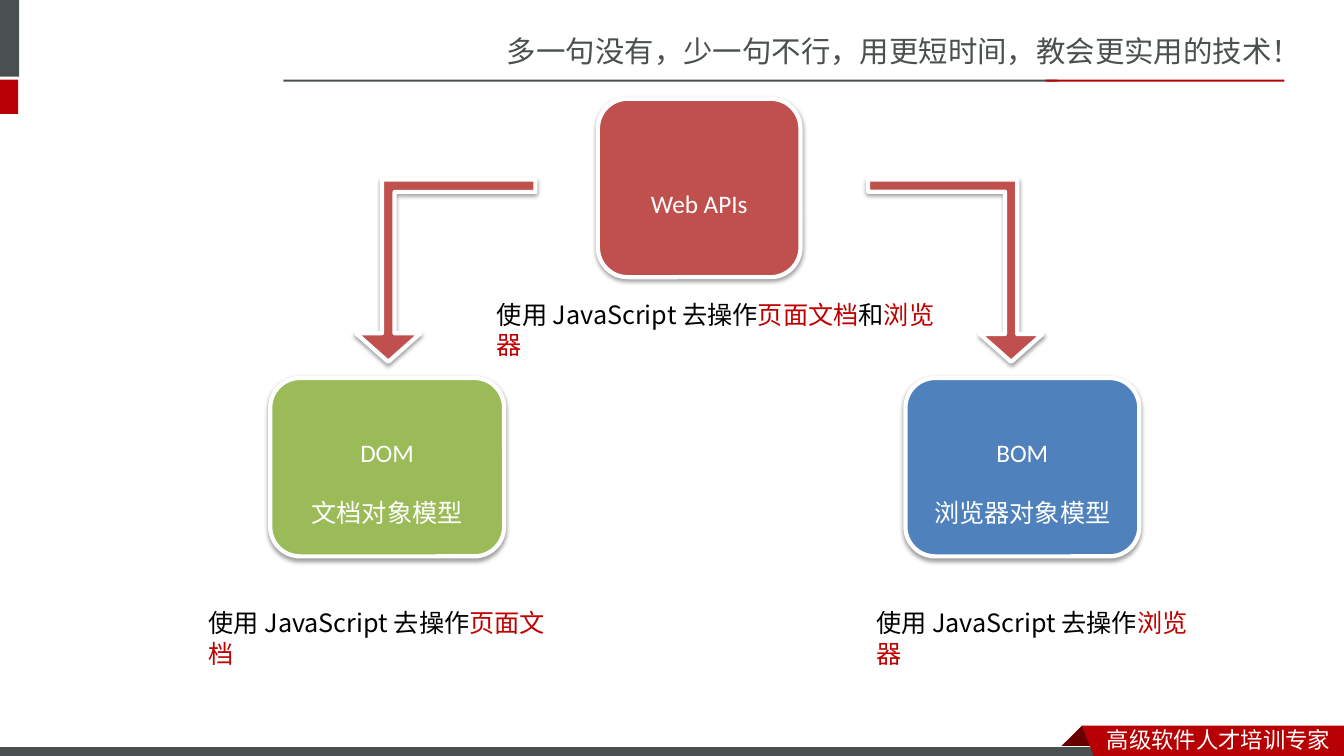
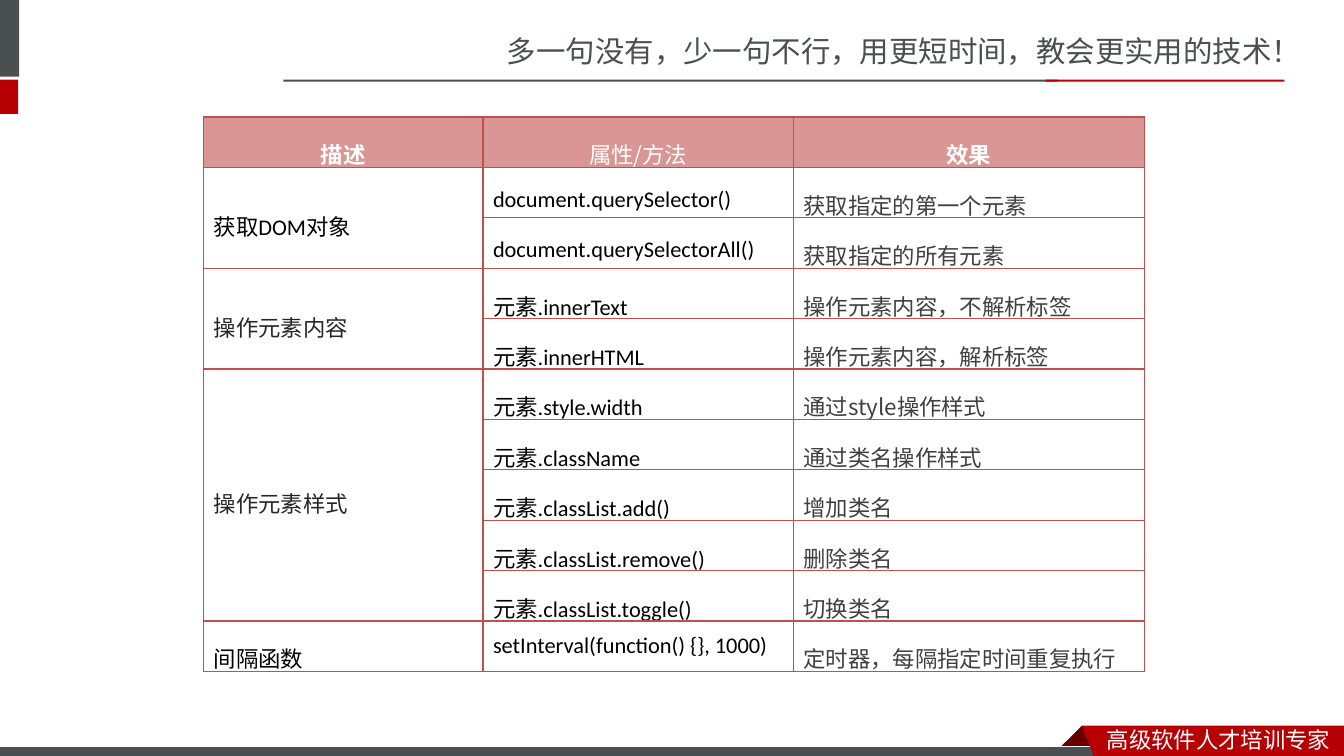
from lxml.etree import SubElement
from pptx import Presentation
from pptx.dml.color import RGBColor
from pptx.enum.shapes import MSO_SHAPE
from pptx.enum.text import MSO_ANCHOR, PP_ALIGN
from pptx.oxml.ns import qn
from pptx.util import Pt

PX = 9144  # 100 px to the inch
WIDE, HIGH = 1333, 750
SC, JP, LATIN = "Noto Sans CJK SC", "Noto Sans CJK JP", "Calibri"
COLORS = {
    "slate": "49504F", "brand": "B60004", "fold": "680000", "white": "FFFFFF",
    "black": "000000", "mark": "C00000", "red": "C0504D", "green": "9BBB59",
    "blue": "4F81BD", "head": "D99694", "gray": "404040", "dark": "262626",
}
TABLE = [
    ("获取DOM对象", LATIN, "black", [
        ("document.querySelector()", "获取指定的第一个元素"),
        ("document.querySelectorAll()", "获取指定的所有元素")]),
    ("操作元素内容", JP, "dark", [
        ("元素.innerText", "操作元素内容，不解析标签"),
        ("元素.innerHTML", "操作元素内容，解析标签")]),
    ("操作元素样式", JP, "dark", [
        ("元素.style.width", "通过style操作样式"),
        ("元素.className", "通过类名操作样式"),
        ("元素.classList.add()", "增加类名"),
        ("元素.classList.remove()", "删除类名"),
        ("元素.classList.toggle()", "切换类名")]),
    ("间隔函数", LATIN, "black", [
        ("setInterval(function() {}, 1000)", "定时器，每隔指定时间重复执行")]),
]


def rgb(name):
    return RGBColor.from_string(COLORS[name])


def emu(*nums):
    return [num * PX for num in nums]


def style(run, size, face, color, bold=False):
    font = run.font
    font.size, font.name, font.bold = Pt(size), face, bold
    font.color.rgb = rgb(color)
    east = SC if face == LATIN else face
    SubElement(run.font._element, qn("a:ea"), typeface=east)


def paint(shape, fill, line=None, width=0):
    shape.shadow.inherit = False
    shape.fill.solid()
    shape.fill.fore_color.rgb = rgb(fill)
    if line:
        shape.line.color.rgb = rgb(line)
        shape.line.width = Pt(width)
    else:
        shape.line.fill.background()


def band(slide, box, fill, line=None):
    shape = slide.shapes.add_shape(MSO_SHAPE.RECTANGLE, *emu(*box))
    paint(shape, fill, line, 0.75)


def outline(slide, points, fill):
    """Draw a closed polygon through the points."""
    build = slide.shapes.build_freeform(*points[0], scale=PX)
    build.add_line_segments(points[1:], close=True)
    paint(build.convert_to_shape(), fill)


def label(slide, box, parts, size, face):
    """Add a text box with one paragraph of (text, color) parts."""
    frame = slide.shapes.add_textbox(*emu(*box)).text_frame
    frame.word_wrap = True
    for text, color in parts:
        run = frame.paragraphs[0].add_run()
        run.text = text
        style(run, size, face, color)


def base(deck):
    """Add a slide with the shared header and footer."""
    slide = deck.slides.add_slide(deck.slide_layouts[6])
    label(slide, (493, 28, 841, 47),
          [("多一句没有，少一句不行，用更短时间，教会更实用的技术！", "slate")], 21, SC)
    band(slide, (-6, 0, 25, 76), "slate")
    band(slide, (-6, 79, 24, 34), "brand")
    band(slide, (281, 79, 768, 2), "slate")
    band(slide, (1037, 79, 237, 2), "brand")
    outline(slide, [(1073, 720), (1095, 742), (1094, 743), (1052, 743), (1051, 742)], "fold")
    band(slide, (-1, 741, 1100, 12), "slate", "white")
    outline(slide, [(1073, 720), (1333, 720), (1333, 754), (1086, 753)], "brand")
    label(slide, (1088, 715, 245, 37), [("高级软件人才培训专家", "white")], 16, SC)
    return slide


def raised(slide, kind, box, fill):
    """Add a shape with a white rim and a soft shadow below."""
    shape = slide.shapes.add_shape(kind, *emu(*box))
    paint(shape, fill, "white", 3)
    effects = shape.element.spPr.find(qn("a:effectLst"))
    shade = SubElement(effects, qn("a:outerShdw"), blurRad="40000", dist="20000",
                       dir="5400000", rotWithShape="0")
    color = SubElement(shade, qn("a:srgbClr"), val=COLORS["black"])
    SubElement(color, qn("a:alpha"), val="38000")
    return shape


def block(slide, box, fill, text):
    shape = raised(slide, MSO_SHAPE.ROUNDED_RECTANGLE, box, fill)
    frame = shape.text_frame
    frame.text = text
    frame.vertical_anchor = MSO_ANCHOR.MIDDLE
    for para in frame.paragraphs:
        para.alignment = PP_ALIGN.CENTER
        para.line_spacing = 2.0
        run = para.runs[0]
        style(run, 18, LATIN if run.text.isascii() else SC, "white")


def arrow(slide, box, flip=False):
    shape = raised(slide, MSO_SHAPE.BENT_UP_ARROW, box, "red")
    shape.rotation = 180
    for spot, value in enumerate((0.07, 0.18, 0.16)):
        shape.adjustments[spot] = value
    if flip:
        shape.element.spPr.xfrm.set("flipH", "1")


def note(slide, box, *parts):
    label(slide, box, [("使用 JavaScript 去操作", "black"), *parts], 18, JP)


def border(cell):
    props = cell._tc.get_or_add_tcPr()
    for side in ("lnL", "lnR", "lnT", "lnB"):
        line = SubElement(props, qn(f"a:{side}"), w=str(Pt(1)))
        fill = SubElement(line, qn("a:solidFill"))
        SubElement(fill, qn("a:srgbClr"), val=COLORS["red"])


def put(cell, text, face, color, bold=False, gap=1.5):
    cell.text = text
    para = cell.text_frame.paragraphs[0]
    para.line_spacing = gap
    style(para.runs[0], 16, face, color, bold)
    return para


def api_map(deck):
    slide = base(deck)
    block(slide, (268, 375, 232, 177), "green", "DOM\n文档对象模型")
    block(slide, (593, 98, 201, 177), "red", "Web APIs")
    block(slide, (898, 375, 232, 177), "blue", "BOM\n浏览器对象模型")
    page, view = ("页面文档", "mark"), ("浏览器", "mark")
    note(slide, (483, 292, 474, 40), page, ("和", "black"), view)
    arrow(slide, (353, 178, 178, 181))
    arrow(slide, (861, 178, 173, 181), flip=True)
    note(slide, (197, 598, 374, 40), page)
    note(slide, (859, 598, 349, 40), view)


def api_table(deck):
    slide = base(deck)
    count = 1 + sum(len(group[3]) for group in TABLE)
    grid = slide.shapes.add_table(count, 3, *emu(202, 116, 933, 50 * count)).table
    for col, width in zip(grid.columns, (277, 308, 348)):
        col.width = width * PX
    for num, row in enumerate(grid.rows):
        row.height = 50 * PX
        for cell in row.cells:
            border(cell)
            cell.fill.solid()
            cell.fill.fore_color.rgb = rgb("white" if num else "head")
            if num:
                cell.vertical_anchor = MSO_ANCHOR.MIDDLE
    heads = (("描述", LATIN, True), ("属性/方法", JP, False), ("效果", LATIN, True))
    for col, (text, face, bold) in enumerate(heads):
        para = put(grid.cell(0, col), text, face, "white", bold)
        para.alignment = PP_ALIGN.CENTER
    row = 1
    for name, face, color, items in TABLE:
        first = grid.cell(row, 0)
        put(first, name, face, color)
        if len(items) > 1:
            first.merge(grid.cell(row + len(items) - 1, 0))
        for code, effect in items:
            gap = 1.0 if code.startswith("setInterval") else 1.5
            put(grid.cell(row, 1), code, LATIN, "black", gap=gap)
            put(grid.cell(row, 2), effect, JP, "gray")
            row += 1


def main():
    deck = Presentation()
    deck.slide_width, deck.slide_height = emu(WIDE, HIGH)
    api_map(deck)
    api_table(deck)
    deck.save("out.pptx")


if __name__ == "__main__":
    main()
